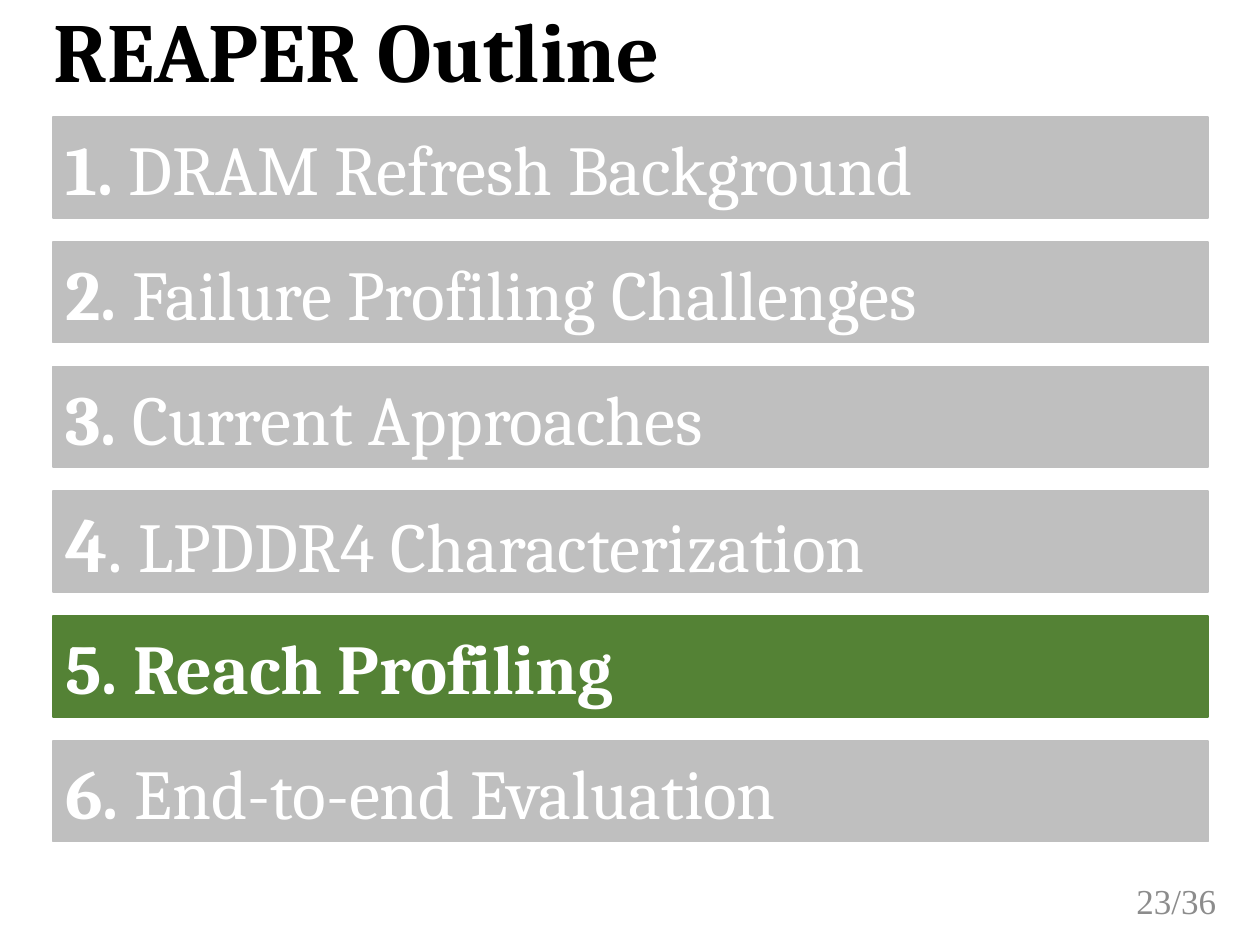
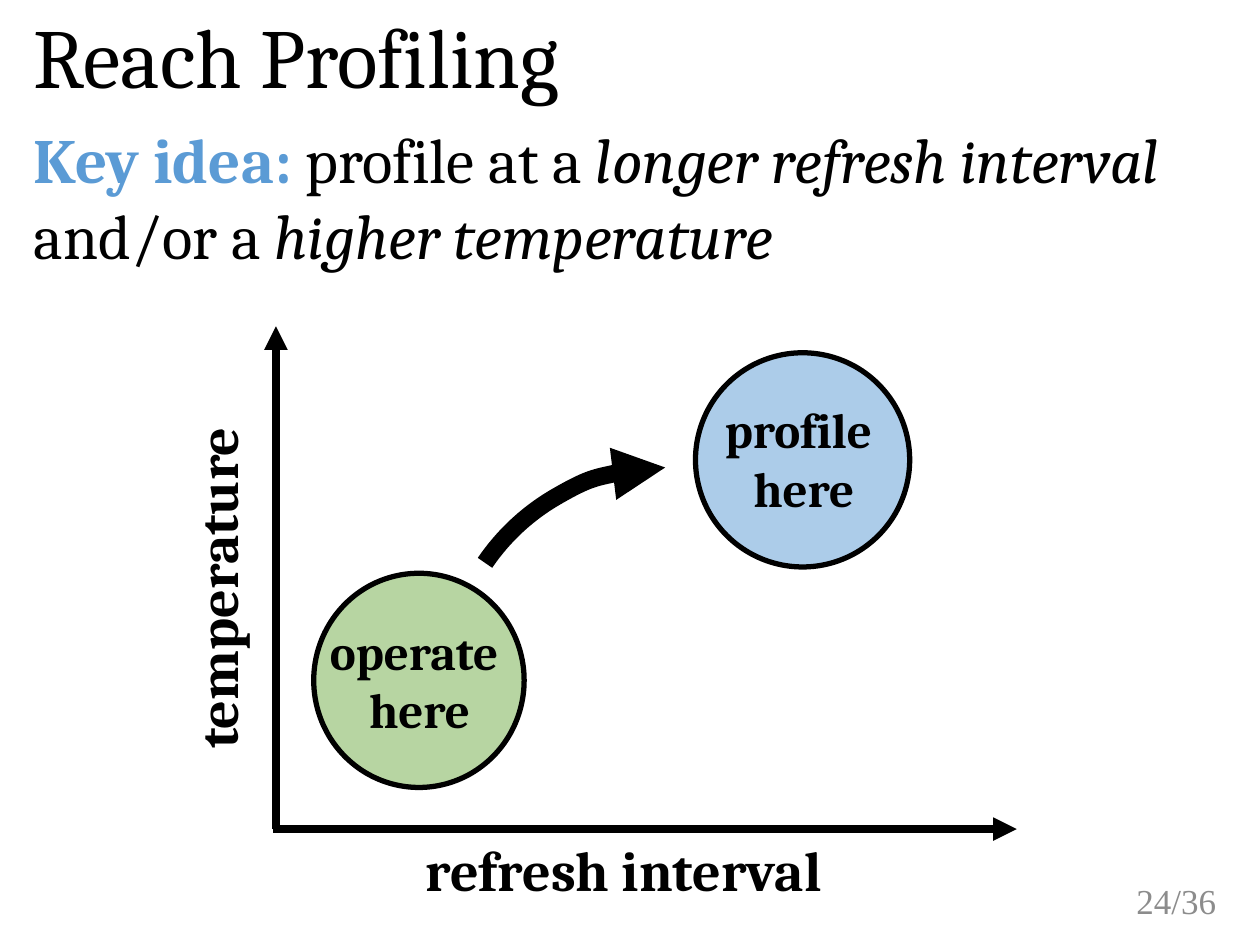
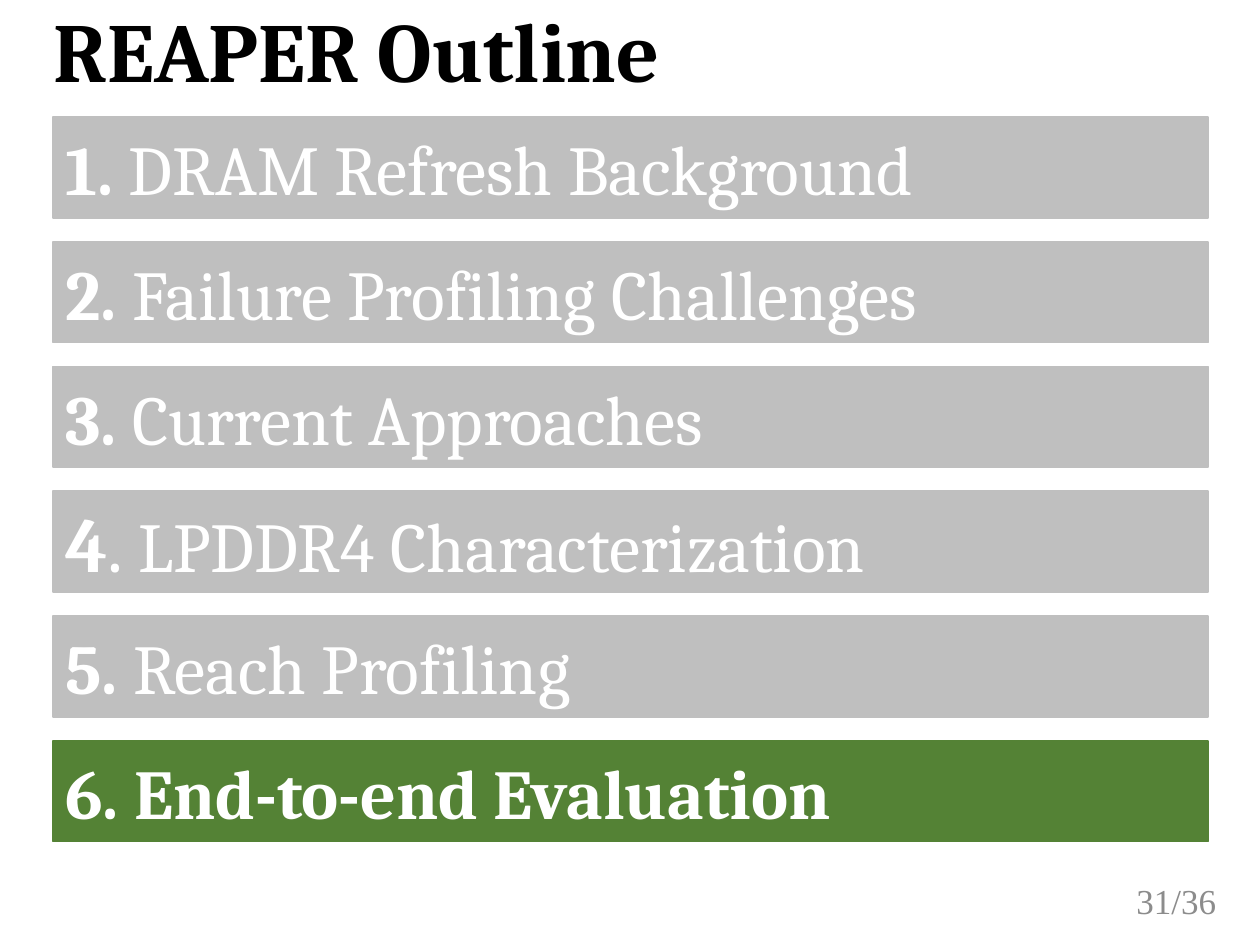
import pptx
import pptx.dml.color
import pptx.enum.shapes
import pptx.enum.text
import pptx.oxml.ns
import pptx.util
from lxml import etree

Inches = pptx.util.Inches
Pt = pptx.util.Pt
RGBColor = pptx.dml.color.RGBColor
Shape = pptx.enum.shapes.MSO_SHAPE
Align = pptx.enum.text.PP_ALIGN
Anchor = pptx.enum.text.MSO_ANCHOR
qn = pptx.oxml.ns.qn

BLACK = RGBColor(0x00, 0x00, 0x00)
WHITE = RGBColor(0xFF, 0xFF, 0xFF)
SILVER = RGBColor(0xBF, 0xBF, 0xBF)
GRAY = RGBColor(0x8C, 0x8C, 0x8C)
DARK_GREEN = RGBColor(0x54, 0x82, 0x35)
GREEN = RGBColor(0x70, 0xAD, 0x47)
BLUE = RGBColor(0x5B, 0x9B, 0xD5)

TOTAL_PAGES = 36
OUTLINE = [
    "DRAM Refresh Background",
    "Failure Profiling Challenges",
    "Current Approaches",
    "LPDDR4 Characterization",
    "Reach Profiling",
    "End-to-end Evaluation",
]
LARGE_NUMBER = 4  # this number is set larger, with a light full stop


class SlideBuilder:
    """Holds the shared style and the slide being built."""

    def __init__(self):
        self.deck = pptx.Presentation()
        self.deck.slide_width = Inches(10)
        self.deck.slide_height = Inches(7.5)
        self.page = None

    def new_page(self, number):
        self.page = self.deck.slides.add_slide(self.deck.slide_layouts[6])
        self.text((8.67, 6.95, 1.08, 0.4), [[(f"{number}/{TOTAL_PAGES}", {})]],
                  dict(name="Times New Roman", size=20, color=GRAY),
                  align=Align.RIGHT, anchor=Anchor.MIDDLE)

    def fill_text(self, shape, paragraphs, base, align=Align.LEFT,
                  anchor=Anchor.TOP, spacing=None):
        """Fill a shape with paragraphs, each a list of (text, format) spans."""
        frame = shape.text_frame
        frame.word_wrap = True
        frame.vertical_anchor = anchor
        for index, spans in enumerate(paragraphs):
            para = frame.add_paragraph() if index else frame.paragraphs[0]
            para.alignment = align
            para.line_spacing = spacing
            for text, changes in spans:
                span = para.add_run()
                span.text = text
                style = {"name": "Cambria", "color": BLACK, **base, **changes}
                span.font.color.rgb = style.pop("color")
                style["size"] = Pt(style["size"])
                for key, value in style.items():
                    setattr(span.font, key, value)

    def text(self, place, paragraphs, base, rotation=0, **layout):
        box = self.page.shapes.add_textbox(*map(Inches, place))
        box.rotation = rotation
        self.fill_text(box, paragraphs, base, **layout)

    def title(self, place, text, bold=False, anchor=Anchor.TOP):
        self.text(place, [[(text, {})]], dict(size=48, bold=bold),
                  anchor=anchor, spacing=0.9)

    def shape(self, kind, place, fill, line, width):
        shape = self.page.shapes.add_shape(kind, *map(Inches, place))
        shape.shadow.inherit = False
        if fill is None:
            shape.fill.background()
        else:
            shape.fill.solid()
            shape.fill.fore_color.rgb = fill
        shape.line.color.rgb = line
        shape.line.width = Pt(width)
        return shape

    def bar(self, place, color, spans):
        bar = self.shape(Shape.RECTANGLE, place, color, color, 1)
        self.fill_text(bar, [spans], dict(size=40, color=WHITE),
                       anchor=Anchor.MIDDLE)

    def circle(self, place, color, label_place, words):
        circle = self.shape(Shape.OVAL, place, color, BLACK, 3)
        tint = circle._element.spPr.find(qn("a:solidFill"))[0]
        etree.SubElement(tint, qn("a:alpha"), val="50000")
        self.text(label_place, [[(word, {})] for word in words],
                  dict(size=28, bold=True), align=Align.CENTER)

    def arrowhead(self, shape):
        outline = shape._element.spPr.find(qn("a:ln"))
        etree.SubElement(outline, qn("a:tailEnd"), type="triangle")

    def axis(self, start, end):
        axis = self.page.shapes.add_connector(
            pptx.enum.shapes.MSO_CONNECTOR.STRAIGHT, *map(Inches, start + end))
        axis.line.color.rgb = BLACK
        axis.line.width = Pt(4.5)
        self.arrowhead(axis)
        etree.SubElement(axis._element.spPr, qn("a:effectLst"))

    def curved_arrow(self, place, start_angle):
        arc = self.shape(Shape.ARC, place, None, BLACK, 10)
        arc.rotation = 270
        # Angles are in 60000ths of a degree, adjustments in 100000ths
        arc.adjustments[0] = start_angle * 0.6
        arc.adjustments[1] = 0
        self.arrowhead(arc)


def outline_page(builder, number, current):
    builder.new_page(number)
    for index, topic in enumerate(OUTLINE):
        item = index + 1
        active = item == current
        if item == LARGE_NUMBER:
            label = [(str(item), dict(size=44, bold=True)),
                     (". ", dict(size=44, bold=active))]
        else:
            label = [(f"{item}. ", dict(bold=True))]
        builder.bar((0.42, 0.93 + 0.99 * index, 9.17, 0.8),
                    DARK_GREEN if active else SILVER,
                    label + [(topic, dict(bold=active))])
    builder.title((0.33, 0.03, 9, 0.97), "REAPER Outline", bold=True)


def reach_profiling_page(builder, number):
    builder.new_page(number)
    builder.title((0.17, 0.07, 9.67, 0.83), "Reach Profiling", anchor=Anchor.BOTTOM)
    builder.text((0.17, 0.91, 9.67, 1.31), [[
        ("Key idea: ", dict(color=BLUE, bold=True)),
        ("profile at a ", {}),
        ("longer refresh interval ", dict(italic=True)),
        ("and/or a ", {}),
        ("higher temperature", dict(italic=True)),
    ]], dict(size=36))

    # Axes and their labels
    builder.axis((2.19, 6.58), (2.19, 2.59))
    builder.axis((2.17, 6.58), (8.07, 6.58))
    axis_label = dict(size=32, bold=True)
    builder.text((3.28, 6.58, 4.59, 0.64), [[("refresh interval", {})]], axis_label)
    builder.text((0.14, 4.14, 3.16, 0.64), [[("temperature", {})]], axis_label,
                 rotation=270)

    # Operating point, profiling point and the step between them
    builder.circle((2.49, 4.55, 1.67, 1.7), GREEN,
                   (2.48, 4.88, 1.7, 1.04), ["operate ", "here"])
    builder.circle((5.52, 2.8, 1.7, 1.7), BLUE,
                   (5.65, 3.12, 1.46, 1.04), ["profile ", "here"])
    builder.curved_arrow((3.55, 3.71, 3.46, 3.46), start_angle=304.24)


def main():
    builder = SlideBuilder()
    outline_page(builder, 23, current=5)
    reach_profiling_page(builder, 24)
    outline_page(builder, 31, current=6)
    builder.deck.save("out.pptx")


if __name__ == "__main__":
    main()
